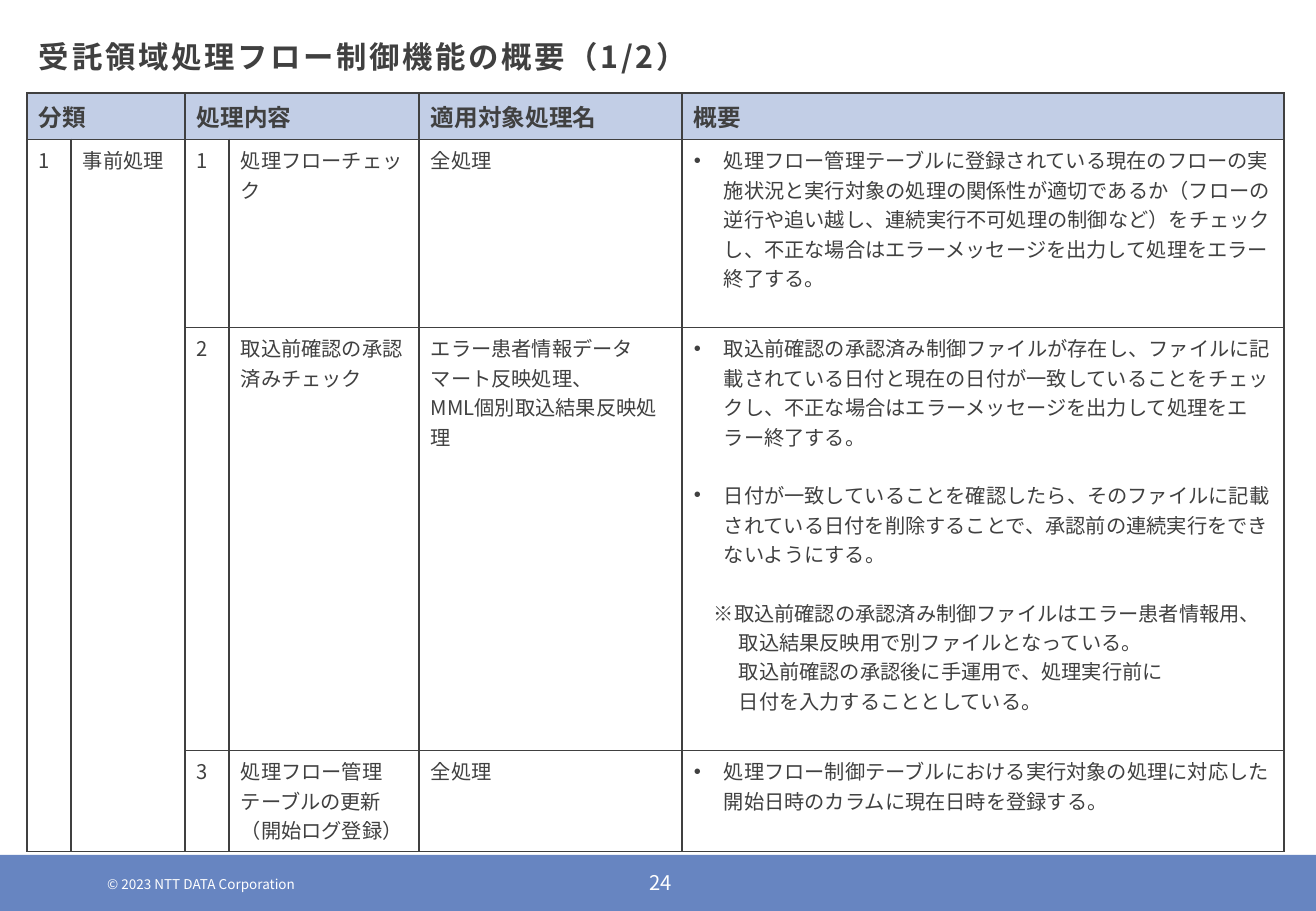
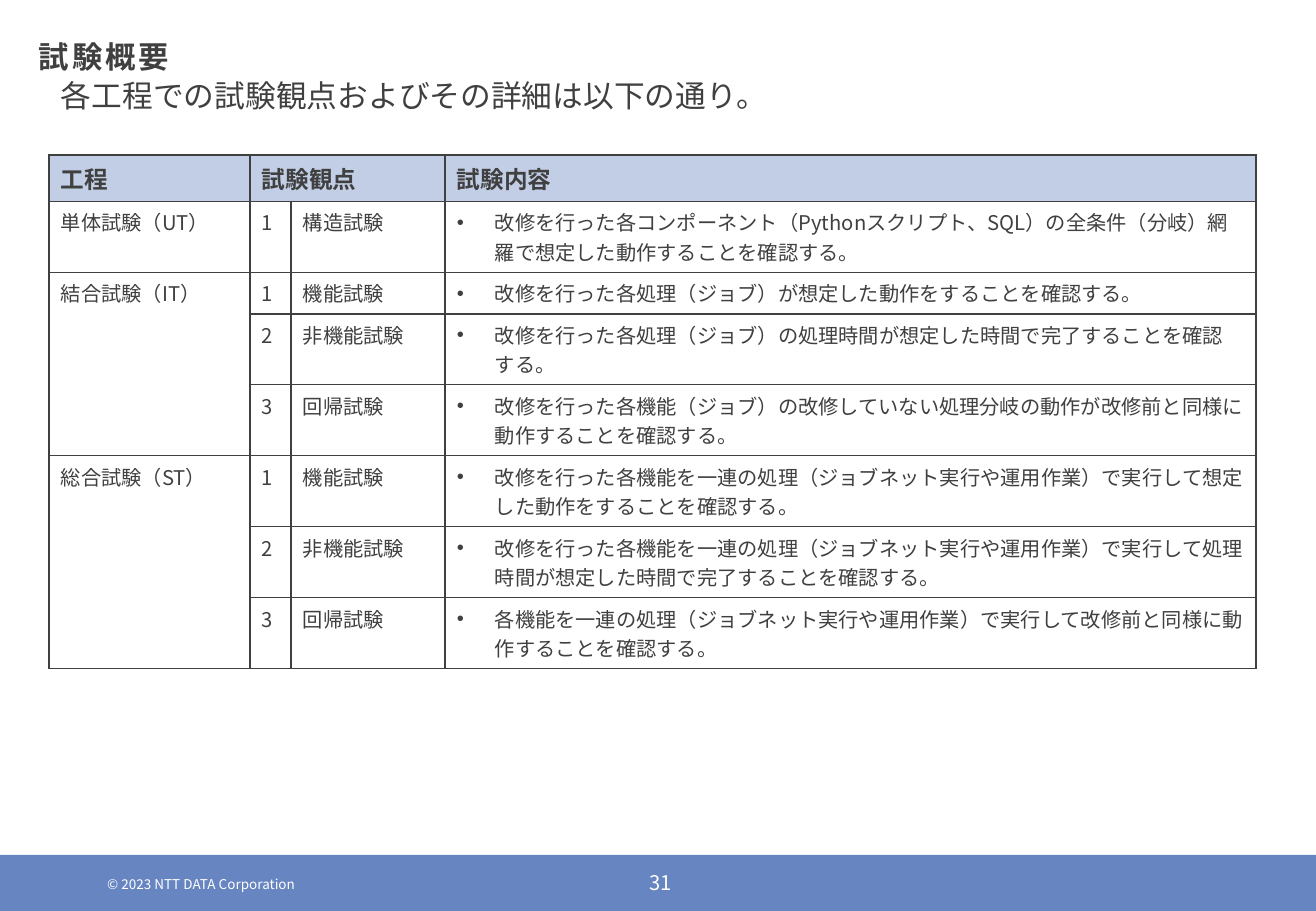
from dataclasses import dataclass

from lxml import etree
from pptx import Presentation
from pptx.dml.color import RGBColor
from pptx.enum.lang import MSO_LANGUAGE_ID
from pptx.enum.shapes import MSO_SHAPE
from pptx.enum.text import MSO_ANCHOR, MSO_AUTO_SIZE, PP_ALIGN
from pptx.oxml.ns import qn
from pptx.util import Pt

SCALE = 7526
FONT = "Noto Sans CJK JP"
INK, WHITE, BAND, HEAD = "404040", "FFFFFF", "6785C1", "C2CEE6"
RECTANGLE = MSO_SHAPE.RECTANGLE
TOP, MIDDLE = MSO_ANCHOR.TOP, MSO_ANCHOR.MIDDLE
LEFT, CENTER = PP_ALIGN.LEFT, PP_ALIGN.CENTER
NO_FIT = MSO_AUTO_SIZE.NONE
JAPANESE = MSO_LANGUAGE_ID.JAPANESE
TITLE_ONLY = 5
BORDER_SIDES = ("a:lnL", "a:lnR", "a:lnT", "a:lnB")


@dataclass
class Line:
    text: str
    left: int = 0
    indent: int = 0
    bullet: bool = False
    before: float = 0


def px(value):
    return value * SCALE


def color(value):
    return RGBColor.from_string(value)


def apply(target, values):
    for name, value in values.items():
        setattr(target, name, value)


def child(parent, tag, **attributes):
    return etree.SubElement(parent, qn(tag), attributes)


def bullet(text, hang, before=0):
    return Line(text, hang, -hang, True, before)


class Deck:
    def __init__(self):
        self.deck = Presentation()
        apply(self.deck, {"slide_width": px(1316), "slide_height": px(911)})
        self.page = None

    def add_page(self, title, number):
        self.page = self.deck.slides.add_slide(self.deck.slide_layouts[TITLE_ONLY])
        self.band(0, 855, 1316, 56)
        self.text("© 2023 NTT DATA Corporation", 95, 876, 418, 16, 8, WHITE, MIDDLE)
        self.text(number, 616, 870, 89, 24, 12, WHITE, MIDDLE, CENTER)
        box = self.page.shapes.title
        self.place(box, 27, 38, 1211, 50)
        self.fill_box(box, title, TOP, LEFT, {"size": 18, "ink": INK, "bold": True, "spacing": 160})

    def place(self, shape, left, top, width, height):
        apply(shape, {"left": px(left), "top": px(top),
                      "width": px(width), "height": px(height)})

    def band(self, left, top, width, height):
        shape = self.page.shapes.add_shape(
            RECTANGLE, px(left), px(top), px(width), px(height))
        shape.shadow.inherit = False
        shape.fill.solid()
        shape.fill.fore_color.rgb = color(BAND)
        shape.line.fill.background()

    def text(self, text, left, top, width, height, size, ink=INK, anchor=TOP, align=LEFT):
        box = self.page.shapes.add_textbox(px(left), px(top), px(width), px(height))
        self.fill_box(box, text, anchor, align, {"size": size, "ink": ink})

    def fill_box(self, box, text, anchor, align, style):
        frame = box.text_frame
        apply(frame, {"word_wrap": True, "auto_size": NO_FIT, "vertical_anchor": anchor,
                      "margin_left": px(12), "margin_right": px(12),
                      "margin_top": 0, "margin_bottom": 0})
        self.add_lines(frame, [Line(text)], align, style)

    def add_lines(self, frame, lines, align, style):
        for index, line in enumerate(lines):
            para = frame.add_paragraph() if index else frame.paragraphs[0]
            apply(para, {"alignment": align, "space_before": Pt(line.before)})
            properties = para._p.get_or_add_pPr()
            properties.set("marL", str(px(line.left)))
            properties.set("indent", str(px(line.indent)))
            if line.bullet:
                child(properties, "a:buFont", typeface="Arial")
                child(properties, "a:buChar", char="•")
            self.span(para, line.text, **style)

    def span(self, para, text, size, ink, bold=False, spacing=0):
        span = para.add_run()
        span.text = text
        apply(span.font, {"name": FONT, "size": Pt(size), "bold": bold,
                          "language_id": JAPANESE})
        span.font.color.rgb = color(ink)
        properties = span._r.get_or_add_rPr()
        child(properties, "a:ea", typeface=FONT)
        if spacing:
            properties.set("spc", str(spacing))

    def table(self, left, top, widths, heights, rows, merges):
        frame = self.page.shapes.add_table(
            len(rows), len(widths), px(left), px(top), px(sum(widths)), px(sum(heights)))
        table = frame.table
        apply(table, {"first_row": False, "horz_banding": False})
        for column, width in zip(table.columns, widths):
            column.width = px(width)
        for row, height in zip(table.rows, heights):
            row.height = px(height)
        for first_row, first_column, last_row, last_column in merges:
            table.cell(first_row, first_column).merge(table.cell(last_row, last_column))
        for row_index, row in enumerate(rows):
            for column_index, content in enumerate(row):
                self.cell(table.cell(row_index, column_index), content, row_index == 0)

    def cell(self, cell, content, heading):
        properties = cell._tc.get_or_add_tcPr()
        for side in BORDER_SIDES:
            border = child(properties, side, w=str(Pt(1)))
            child(child(border, "a:solidFill"), "a:srgbClr", val=INK)
        if heading:
            cell.fill.solid()
            cell.fill.fore_color.rgb = color(HEAD)
        else:
            cell.fill.background()
        apply(cell, {"margin_left": px(12), "margin_right": px(12),
                     "margin_top": px(6), "margin_bottom": px(6)})
        if content is None:
            return
        lines = [Line(content)] if isinstance(content, str) else content
        style = {"size": 14 if heading else 12, "ink": INK, "bold": heading}
        self.add_lines(cell.text_frame, lines, LEFT, style)


def build_flow_control(deck):
    hang, gap, note = 30, 17.4, 45
    deck.add_page("受託領域処理フロー制御機能の概要（1/2）", "24")
    rows = [
        ["分類", None, "処理内容", None, "適用対象処理名", "概要"],
        ["1", "事前処理", "1", "処理フローチェック", "全処理", [
            bullet("処理フロー管理テーブルに登録されている現在のフローの実施状況と実行対象の処理の"
                   "関係性が適切であるか（フローの逆行や追い越し、連続実行不可処理の制御など）を"
                   "チェックし、不正な場合はエラーメッセージを出力して処理をエラー終了する。", hang)]],
        [None, None, "2", "取込前確認の承認済みチェック",
         [Line("エラー患者情報データマート反映処理、"), Line("MML個別取込結果反映処理")], [
             bullet("取込前確認の承認済み制御ファイルが存在し、ファイルに記載されている日付と現在の"
                    "日付が一致していることをチェックし、不正な場合はエラーメッセージを出力して"
                    "処理をエラー終了する。", hang),
             bullet("日付が一致していることを確認したら、そのファイルに記載されている日付を"
                    "削除することで、承認前の連続実行をできないようにする。", hang, gap),
             Line("※取込前確認の承認済み制御ファイルはエラー患者情報用、", note, -25, before=gap),
             Line("取込結果反映用で別ファイルとなっている。", note),
             Line("取込前確認の承認後に手運用で、処理実行前に", note),
             Line("日付を入力することとしている。", note)]],
        [None, None, "3",
         [Line("処理フロー管理"), Line("テーブルの更新"), Line("（開始ログ登録）")], "全処理", [
             bullet("処理フロー制御テーブルにおける実行対象の処理に対応した開始日時のカラムに"
                    "現在日時を登録する。", hang)]],
    ]
    merges = [(0, 0, 0, 1), (0, 2, 0, 3), (1, 0, 3, 0), (1, 1, 3, 1)]
    deck.table(27, 93, [44, 114, 44, 190, 263, 602], [46, 188, 423, 101], rows, merges)


def build_test_overview(deck):
    deck.add_page("試験概要", "31")
    deck.text("各工程での試験観点およびその詳細は以下の通り。", 49, 77, 1188, 50, 18.2)
    tests = [
        ("単体試験（UT）", "1", "構造試験",
         "改修を行った各コンポーネント（Pythonスクリプト、SQL）の全条件（分岐）網羅で想定した動作することを確認する。"),
        ("結合試験（IT）", "1", "機能試験",
         "改修を行った各処理（ジョブ）が想定した動作をすることを確認する。"),
        (None, "2", "非機能試験",
         "改修を行った各処理（ジョブ）の処理時間が想定した時間で完了することを確認する。"),
        (None, "3", "回帰試験",
         "改修を行った各機能（ジョブ）の改修していない処理分岐の動作が改修前と同様に動作することを確認する。"),
        ("総合試験（ST）", "1", "機能試験",
         "改修を行った各機能を一連の処理（ジョブネット実行や運用作業）で実行して想定した動作をすることを確認する。"),
        (None, "2", "非機能試験",
         "改修を行った各機能を一連の処理（ジョブネット実行や運用作業）で実行して処理時間が想定した時間で完了することを確認する。"),
        (None, "3", "回帰試験",
         "各機能を一連の処理（ジョブネット実行や運用作業）で実行して改修前と同様に動作することを確認する。"),
    ]
    rows = [["工程", "試験観点", None, "試験内容"]]
    rows += [[*labels, [bullet(detail, 38)]] for *labels, detail in tests]
    merges = [(0, 1, 0, 2), (2, 0, 4, 0), (5, 0, 7, 0)]
    deck.table(49, 155, [201, 41, 154, 811], [46, 71, 41] + [71] * 5, rows, merges)


def main():
    deck = Deck()
    build_flow_control(deck)
    build_test_overview(deck)
    deck.deck.save("out.pptx")


if __name__ == "__main__":
    main()
